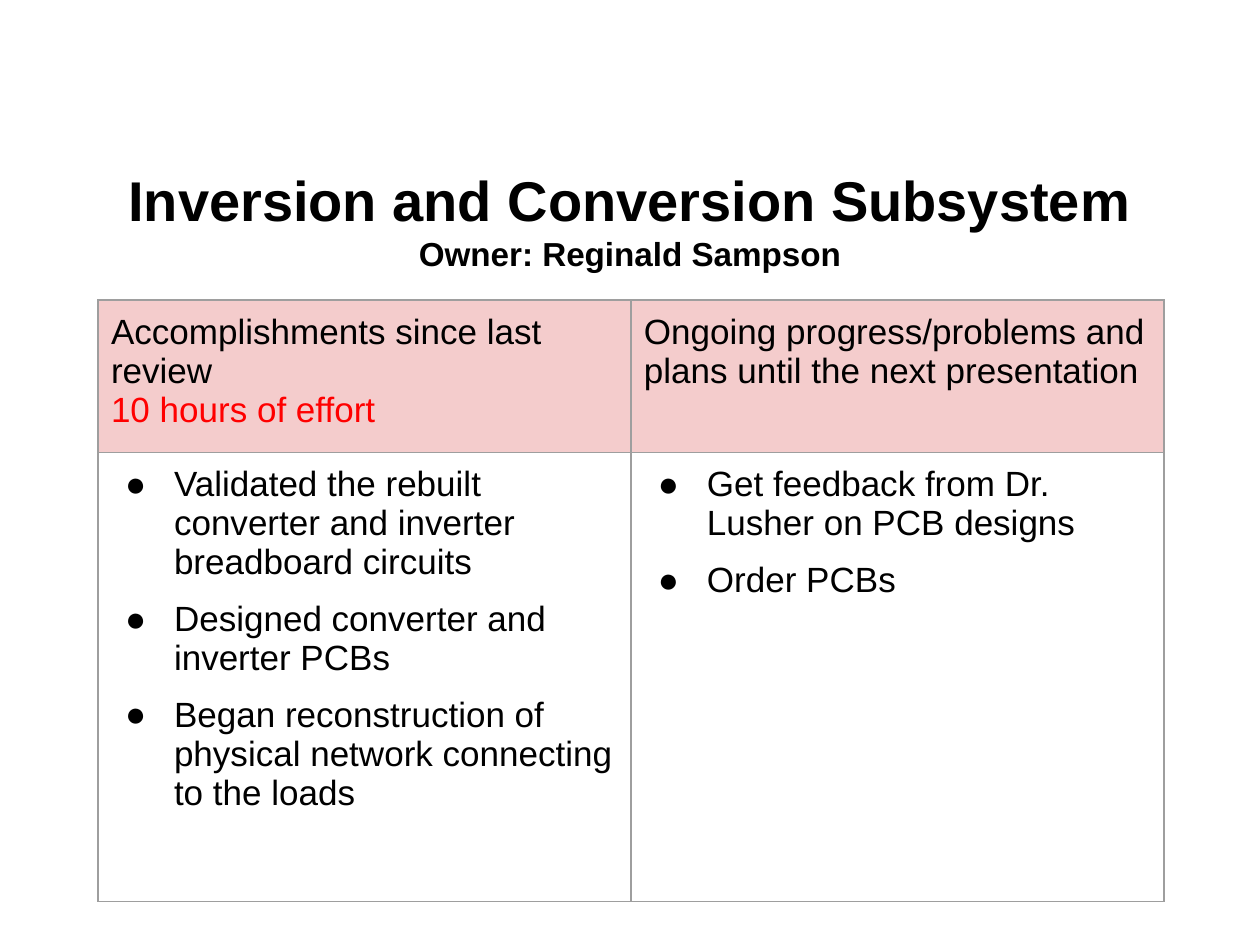
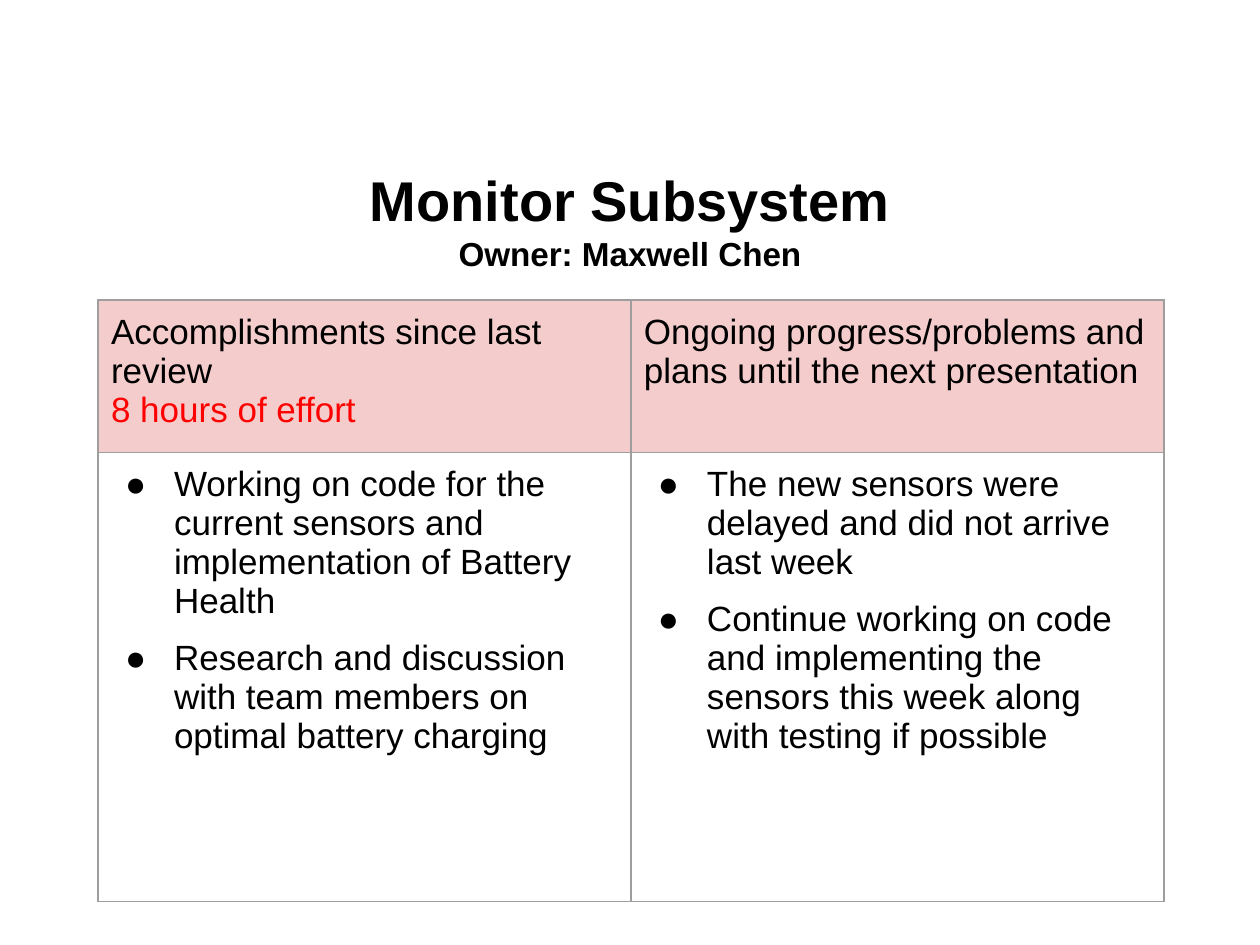
from lxml import etree
from pptx import Presentation
from pptx.dml.color import RGBColor
from pptx.enum.text import MSO_ANCHOR, PP_ALIGN
from pptx.oxml.ns import qn
from pptx.util import Pt

CENTER = PP_ALIGN.CENTER
LEFT = PP_ALIGN.LEFT
MIDDLE = MSO_ANCHOR.MIDDLE

BLACK = RGBColor(0x00, 0x00, 0x00)
RED = RGBColor(0xFF, 0x00, 0x00)
PINK = RGBColor(0xF4, 0xCC, 0xCC)
GRAY = RGBColor(0x9E, 0x9E, 0x9E)

EMU_PER_PX = 914400 / 126
BLANK_LAYOUT = 6
FONT = "Arial"
BULLET = "●"
SIDES = ("lnL", "lnR", "lnT", "lnB")

DONE_HEADING = "Accomplishments since last review"
PLANS_HEADING = "Ongoing progress/problems and plans until the next presentation"

TITLE = {"size": Pt(32), "bold": True}
OWNER = {"size": Pt(19), "bold": True}
BODY = {"size": Pt(20), "bold": False}

SUBSYSTEMS = [
    {
        "name": "Inversion and Conversion Subsystem",
        "owner": "Reginald Sampson",
        "hours": 10,
        "done": [
            "Validated the rebuilt converter and inverter breadboard circuits",
            "Designed converter and inverter PCBs",
            "Began reconstruction of physical network connecting to the loads",
        ],
        "plans": [
            "Get feedback from Dr. Lusher on PCB designs",
            "Order PCBs",
        ],
    },
    {
        "name": "Monitor Subsystem",
        "owner": "Maxwell Chen",
        "hours": 8,
        "done": [
            "Working on code for the current sensors and implementation of Battery Health",
            "Research and discussion with team members on optimal battery charging",
        ],
        "plans": [
            "The new sensors were delayed and did not arrive last week",
            "Continue working on code and implementing the sensors this week along with testing if possible",
        ],
    },
]


def px(n):
    return round(n * EMU_PER_PX)


def set_all(target, values):
    for name, value in values.items():
        setattr(target, name, value)


def add_solid_color(parent, tag, color):
    holder = etree.SubElement(parent, qn(tag))
    etree.SubElement(holder, qn("a:srgbClr"), val=str(color))


class Deck:
    def __init__(self):
        self.prs = Presentation()
        self.prs.slide_width = px(1260)
        self.prs.slide_height = px(945)
        self.s = None

    def slide(self):
        self.s = self.prs.slides.add_slide(self.prs.slide_layouts[BLANK_LAYOUT])

    def paragraphs(self, tf, lines, align=LEFT, bulleted=False):
        for i, (text, style, color) in enumerate(lines):
            p = tf.add_paragraph() if i else tf.paragraphs[0]
            if bulleted:
                self.bullet(p)
                p.space_before = Pt(10 if i else 0)
            p.alignment = align
            r = p.add_run()
            r.text = text
            set_all(r.font, {"name": FONT, **style})
            r.font.color.rgb = color

    def bullet(self, p):
        pPr = p._p.get_or_add_pPr()
        pPr.set("marL", str(px(63)))
        pPr.set("indent", str(px(-49)))
        add_solid_color(pPr, "a:buClr", BLACK)
        etree.SubElement(pPr, qn("a:buFont"), typeface=FONT)
        etree.SubElement(pPr, qn("a:buChar"), char=BULLET)

    def title(self, name, owner):
        tf = self.s.shapes.add_textbox(px(63), px(145), px(1134), px(149)).text_frame
        set_all(tf, {"word_wrap": True, "vertical_anchor": MIDDLE})
        lines = [(name, TITLE, BLACK), (f"Owner: {owner}", OWNER, BLACK)]
        self.paragraphs(tf, lines, CENTER)

    def cell(self, cell, lines, fill=None, bulleted=False):
        margins = ("margin_left", "margin_right", "margin_top", "margin_bottom")
        set_all(cell, dict.fromkeys(margins, px(13)))
        tcPr = cell._tc.get_or_add_tcPr()
        for side in SIDES:
            ln = etree.SubElement(tcPr, qn(f"a:{side}"), w=str(Pt(0.75)))
            add_solid_color(ln, "a:solidFill", GRAY)
        if fill is None:
            cell.fill.background()
        else:
            cell.fill.solid()
            cell.fill.fore_color.rgb = fill
        self.paragraphs(cell.text_frame, lines, bulleted=bulleted)

    def status_table(self, hours, done, plans):
        table = self.s.shapes.add_table(2, 2, px(98), px(300), px(1066), px(567)).table
        set_all(table, {"first_row": False, "horz_banding": False})
        for column in table.columns:
            column.width = px(533)
        for row, height in zip(table.rows, (118, 449)):
            row.height = px(height)
        headings = [
            [(DONE_HEADING, BODY, BLACK), (f"{hours} hours of effort", BODY, RED)],
            [(PLANS_HEADING, BODY, BLACK)],
        ]
        for col, (heading, items) in enumerate(zip(headings, (done, plans))):
            self.cell(table.cell(0, col), heading, PINK)
            lines = [(item, BODY, BLACK) for item in items]
            self.cell(table.cell(1, col), lines, bulleted=True)


def main():
    deck = Deck()
    for subsystem in SUBSYSTEMS:
        deck.slide()
        deck.title(subsystem["name"], subsystem["owner"])
        deck.status_table(subsystem["hours"], subsystem["done"], subsystem["plans"])
    deck.prs.save("out.pptx")


if __name__ == "__main__":
    main()
